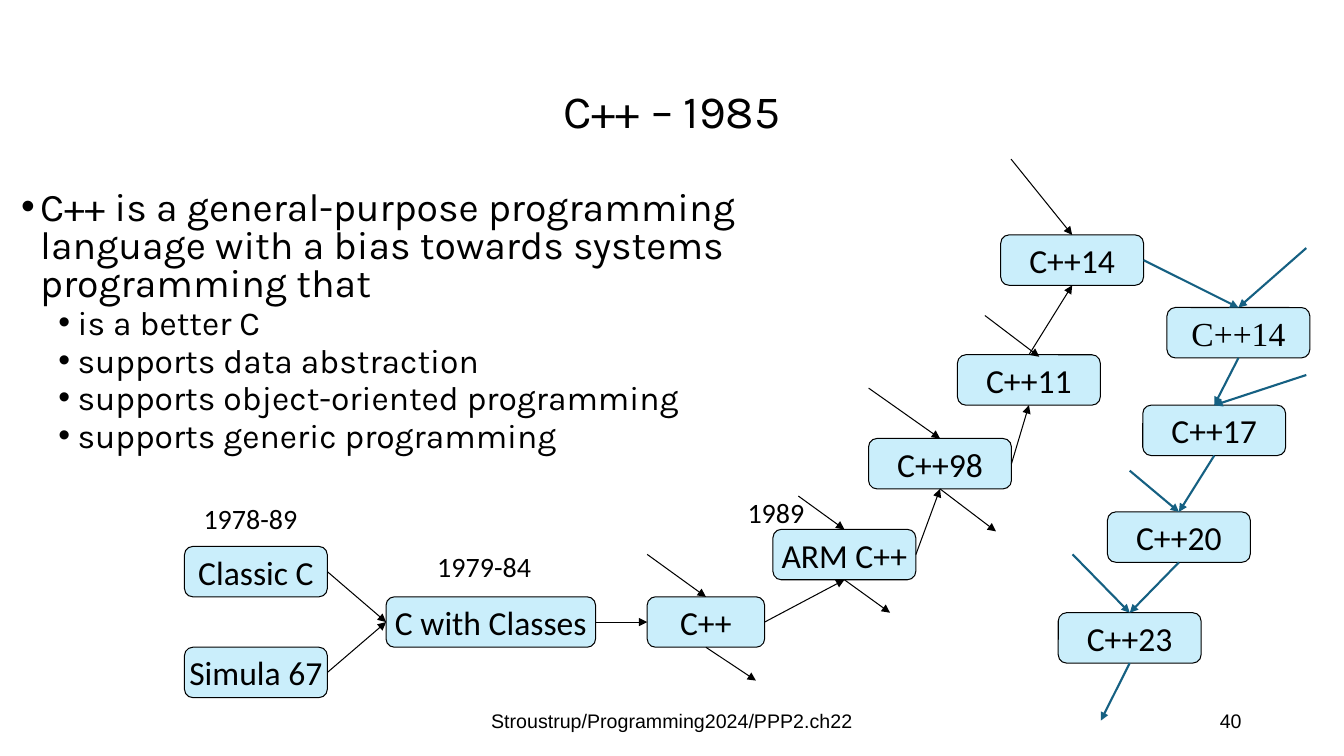
from lxml import etree
from pptx import Presentation
from pptx.dml.color import RGBColor
from pptx.enum.shapes import MSO_CONNECTOR, MSO_SHAPE
from pptx.enum.text import MSO_ANCHOR, MSO_AUTO_SIZE, PP_ALIGN
from pptx.oxml.ns import qn
from pptx.util import Cm, Pt

STRAIGHT = MSO_CONNECTOR.STRAIGHT
ROUNDED = MSO_SHAPE.ROUNDED_RECTANGLE
MIDDLE, TOP_ANCHOR = MSO_ANCHOR.MIDDLE, MSO_ANCHOR.TOP
LEFT_ALIGN, CENTER, RIGHT_ALIGN = PP_ALIGN.LEFT, PP_ALIGN.CENTER, PP_ALIGN.RIGHT
NO_FIT = MSO_AUTO_SIZE.NONE

TOP, LEFT, BOTTOM, RIGHT = range(4)
BLACK, TEAL, PALE_BLUE = "000000", "156082", "CAEEFB"

VERSIONS = {
    "Classic C": ("Classic C", 4.65, 13.77, 3.6, "Calibri"),
    "Simula 67": ("Simula 67", 4.65, 16.31, 3.6, "Calibri"),
    "C with Classes": ("C with Classes", 9.73, 15.04, 5.28, "Calibri"),
    "C++": ("C++", 16.31, 15.04, 2.96, "Calibri"),
    "ARM": ("ARM C++", 19.48, 13.34, 3.6, "Calibri"),
    "98": ("C++98", 21.89, 11.05, 3.6, "Calibri"),
    "11": ("C++11", 24.13, 8.94, 3.6, "Calibri"),
    "14": ("C++14", 25.22, 5.92, 3.6, "Calibri"),
    "14 again": ("C++14", 29.41, 7.75, 3.6, "Times New Roman"),
    "17": ("C++17", 28.8, 10.21, 3.6, "Calibri"),
    "20": ("C++20", 27.91, 12.9, 3.6, "Calibri"),
    "23": ("C++23", 26.67, 15.44, 3.6, "Calibri"),
}

SUCCESSIONS = [
    ("Classic C", RIGHT, "C with Classes", LEFT, BLACK),
    ("Simula 67", RIGHT, "C with Classes", LEFT, BLACK),
    ("C with Classes", RIGHT, "C++", LEFT, BLACK),
    ("C++", RIGHT, "ARM", BOTTOM, BLACK),
    ("ARM", RIGHT, "98", BOTTOM, BLACK),
    ("98", RIGHT, "11", BOTTOM, BLACK),
    ("11", TOP, "14", BOTTOM, BLACK),
    ("14", RIGHT, "14 again", TOP, TEAL),
    ("14 again", BOTTOM, "17", TOP, TEAL),
    ("17", BOTTOM, "20", TOP, TEAL),
    ("20", BOTTOM, "23", TOP, TEAL),
]

INFLUENCES = [
    ("C++", 16.31, 13.97, BLACK),
    ("ARM", 20.12, 12.5, BLACK),
    ("98", 21.89, 9.78, BLACK),
    ("14", 25.48, 4.01, BLACK),
    ("14 again", 32.92, 6.25, TEAL),
    ("17", 32.92, 9.45, TEAL),
    ("20", 28.47, 11.86, TEAL),
    ("23", 27.03, 13.97, TEAL),
]

OFFSHOOTS = [
    ("C++", 19.05, 17.15, BLACK),
    ("ARM", 22.43, 15.44, BLACK),
    ("98", 25.1, 13.39, BLACK),
    ("23", 27.74, 18.16, TEAL),
]

DATES = [
    ("1979-84", 10.77, 13.72, 3.18),
    ("1978-89", 4.88, 12.5, 4.88),
    ("1989", 18.59, 12.37, 2.11),
]

POINTS = [
    ("C++ is a general-purpose programming language with a bias "
     "towards systems programming that", 0),
    ("is a better C", 1),
    ("supports data abstraction", 1),
    ("supports object-oriented programming", 1),
    ("supports generic programming", 1),
]


def color(value):
    return RGBColor.from_string(value)


def place(shape, left, top, width, height):
    shape.left, shape.top = Cm(left), Cm(top)
    shape.width, shape.height = Cm(width), Cm(height)


def write(para, text, size, font, align=LEFT_ALIGN):
    para.alignment = align
    span = para.add_run()
    span.text = text
    span.font.size = Pt(size)
    span.font.name = font
    span.font.color.rgb = color(BLACK)


def add_bullet(para, indent):
    properties = para._p.get_or_add_pPr()
    properties.set("marL", str(Cm(indent)))
    properties.set("indent", str(-Cm(0.48)))
    etree.SubElement(properties, qn("a:buFont"), typeface="Arial")
    etree.SubElement(properties, qn("a:buChar"), char="•")


def fill_title(page):
    title = page.shapes.title
    place(title, 2.33, 1.01, 29.21, 3.68)
    title.text_frame.auto_size = NO_FIT
    title.text_frame.vertical_anchor = MIDDLE
    para = title.text_frame.paragraphs[0]
    para.line_spacing = 0.9
    write(para, "C++ – 1985", 33, "Karla", CENTER)


def fill_points(page):
    body = page.placeholders[1]
    place(body, 0.28, 4.7, 22.73, 6.35)
    frame = body.text_frame
    frame.auto_size = NO_FIT
    for index, (text, level) in enumerate(POINTS):
        para = frame.add_paragraph() if index else frame.paragraphs[0]
        para.level = level
        add_bullet(para, 1.42 if level else 0.48)
        para.line_spacing = 0.8
        para.space_before = Pt(3.8 if index else 0)
        write(para, text, 24 if level else 28, "Karla")


def add_label(page, text, bounds, size, font, align=LEFT_ALIGN, anchor=TOP_ANCHOR):
    box = page.shapes.add_textbox(*map(Cm, bounds))
    box.text_frame.word_wrap = True
    box.text_frame.vertical_anchor = anchor
    write(box.text_frame.paragraphs[0], text, size, font, align)


def add_version(page, text, left, top, width, font):
    box = page.shapes.add_shape(ROUNDED, Cm(left), Cm(top), Cm(width), Cm(1.27))
    box.shadow.inherit = False
    box.fill.solid()
    box.fill.fore_color.rgb = color(PALE_BLUE)
    box.line.color.rgb = color(BLACK)
    box.line.width = Pt(0.75)
    box.text_frame.word_wrap = False
    box.text_frame.vertical_anchor = MIDDLE
    write(box.text_frame.paragraphs[0], text, 24, font, CENTER)
    return box


def add_arrow(page, tone, start=(0, 0), end=(0, 0), source=None, target=None):
    arrow = page.shapes.add_connector(STRAIGHT, *map(Cm, (*start, *end)))
    if source:
        arrow.begin_connect(*source)
    if target:
        arrow.end_connect(*target)
    arrow.line.color.rgb = color(tone)
    arrow.line.width = Pt(0.75 if tone == BLACK else 1.5)
    etree.SubElement(arrow.line._get_or_add_ln(), qn("a:tailEnd"), type="triangle")
    etree.SubElement(arrow._element.spPr, qn("a:effectLst"))


def add_history(page):
    boxes = {key: add_version(page, *values) for key, values in VERSIONS.items()}
    for older, exit_side, newer, entry_side, tone in SUCCESSIONS:
        add_arrow(page, tone, source=(boxes[older], exit_side),
                  target=(boxes[newer], entry_side))
    for key, left, top, tone in INFLUENCES:
        add_arrow(page, tone, start=(left, top), target=(boxes[key], TOP))
    for key, left, top, tone in OFFSHOOTS:
        add_arrow(page, tone, end=(left, top), source=(boxes[key], BOTTOM))
    add_arrow(page, BLACK, start=(24.82, 7.95), end=(26.19, 8.99))


def main():
    deck = Presentation()
    deck.slide_width, deck.slide_height = Cm(33.87), Cm(19.05)
    page = deck.slides.add_slide(deck.slide_layouts[1])
    fill_title(page)
    fill_points(page)
    add_history(page)
    for text, left, top, width in DATES:
        add_label(page, text, (left, top, width, 1.09), 20, "Calibri")
    add_label(page, "Stroustrup/Programming2024/PPP2.ch22",
              (11.22, 17.66, 11.43, 1.01), 14, "Arial", CENTER, MIDDLE)
    add_label(page, "40", (23.92, 17.66, 7.62, 1.01), 14, "Arial", RIGHT_ALIGN, MIDDLE)
    deck.save("out.pptx")


if __name__ == "__main__":
    main()
